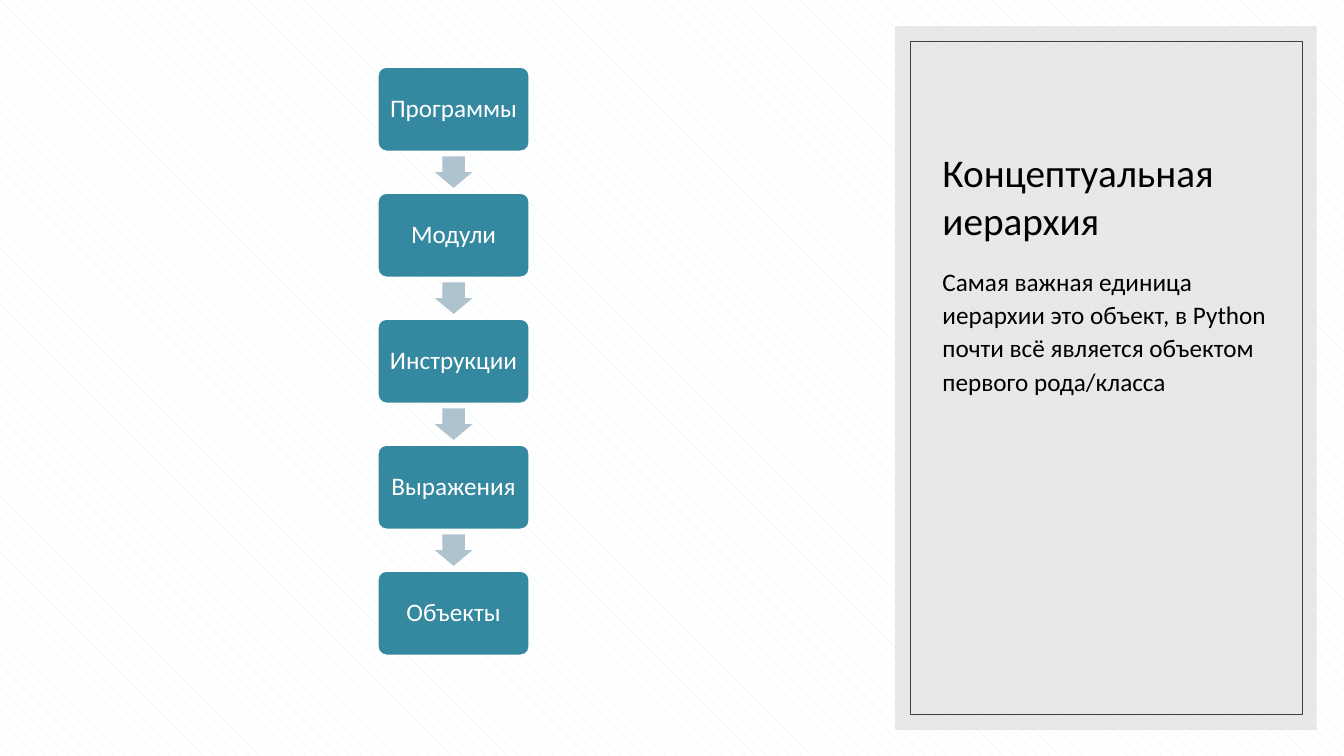
from pptx import Presentation
from pptx import util as u
from pptx.dml.color import RGBColor
from pptx.enum import dml, shapes, text
from pptx.oxml import parse_xml
from pptx.oxml.ns import nsdecls, qn

WHITE = RGBColor(0xFF, 0xFF, 0xFF)
BLACK = RGBColor(0, 0, 0)
PALE_AQUA = RGBColor(0xDE, 0xF4, 0xF7)
PANEL_GRAY = RGBColor(0xD9, 0xD9, 0xD9)
FRAME_GRAY = RGBColor(0x40, 0x40, 0x40)
TEAL = RGBColor(0x34, 0x88, 0xA0)
ARROW_BLUE = RGBColor(0xAE, 0xC3, 0xCD)

FONT = "Calibri"
LEVELS = ["Программы", "Модули", "Инструкции", "Выражения", "Объекты"]
TITLE = "Концептуальная иерархия"
BODY = ("Самая важная единица иерархии это объект, в Python "
        "почти всё является объектом первого рода/класса")

# Hierarchy column, in points
BOX_LEFT, BOX_TOP, BOX_WIDTH, BOX_HEIGHT = 270, 48, 108, 60
GAP = 30
ARROW_LENGTH, ARROW_WIDTH = 22.5, 26.8


def set_format(target, values):
    for name, value in values.items():
        setattr(target, name, value)


def set_text(holder, words, size, color, frame_format, para_format):
    frame = holder.text_frame
    set_format(frame, {"word_wrap": True,
                       "auto_size": text.MSO_AUTO_SIZE.NONE, **frame_format})
    para = frame.paragraphs[0]
    set_format(para, para_format)
    span = para.add_run()
    span.text = words
    set_format(span.font, {"name": FONT, "size": u.Pt(size), "bold": False})
    span.font.color.rgb = color


def add_block(page, kind, place, fill=None, line=None, line_width=1):
    block = page.shapes.add_shape(kind, *map(u.Pt, place))
    block.shadow.inherit = False
    if fill is None:
        block.fill.background()
    else:
        block.fill.solid()
        block.fill.fore_color.rgb = fill
    if line is None:
        block.line.fill.background()
    else:
        block.line.color.rgb = line
        block.line.width = u.Pt(line_width)
    return block


def add_level(page, words, top):
    box = add_block(page, shapes.MSO_SHAPE.ROUNDED_RECTANGLE,
                    (BOX_LEFT, top, BOX_WIDTH, BOX_HEIGHT), TEAL, WHITE)
    box.adjustments[0] = 0.1
    margins = {f"margin_{side}": u.Pt(5)
               for side in ("left", "right", "top", "bottom")}
    set_text(box, words, 18, WHITE,
             {"vertical_anchor": text.MSO_ANCHOR.MIDDLE, **margins},
             {"alignment": text.PP_ALIGN.CENTER, "line_spacing": 0.9})


def add_down_arrow(page, center_y):
    center_x = BOX_LEFT + BOX_WIDTH / 2
    arrow = add_block(page, shapes.MSO_SHAPE.RIGHT_ARROW,
                      (center_x - ARROW_LENGTH / 2, center_y - ARROW_WIDTH / 2,
                       ARROW_LENGTH, ARROW_WIDTH), ARROW_BLUE)
    arrow.rotation = 90
    arrow.adjustments[0] = 0.6
    arrow.adjustments[1] = 0.5


def add_side_panel(page):
    panel = add_block(page, shapes.MSO_SHAPE.RECTANGLE,
                      (639.4, 18.7, 301, 502.6), PANEL_GRAY)
    color = panel.element.find(".//" + qn("a:srgbClr"))
    color.append(parse_xml(f'<a:alpha {nsdecls("a")} val="60000"/>'))
    frame = add_block(page, shapes.MSO_SHAPE.RECTANGLE,
                      (650.2, 29.5, 280, 481), line=FRAME_GRAY, line_width=0.5)
    # The panel lies behind the title and body
    for part in (panel, frame):
        page.shapes.title.element.addprevious(part.element)


def place_holder(holder, place):
    names = ("left", "top", "width", "height")
    set_format(holder, dict(zip(names, map(u.Pt, place))))


def main():
    deck = Presentation()
    deck.slide_width, deck.slide_height = u.Pt(960), u.Pt(540)
    page = deck.slides.add_slide(deck.slide_layouts.get_by_name("Content with Caption"))

    # Background
    fill = page.background.fill
    fill.patterned()
    fill.pattern = dml.MSO_PATTERN.SHINGLE
    fill.fore_color.rgb = PALE_AQUA
    fill.back_color.rgb = WHITE

    # Side panel with title and body
    holders = {item.placeholder_format.idx: item for item in page.placeholders}
    unused = holders[1].element
    unused.getparent().remove(unused)
    add_side_panel(page)
    place_holder(holders[0], (666, 47.5, 249, 129.6))
    set_text(holders[0], TITLE, 28, BLACK,
             {"vertical_anchor": text.MSO_ANCHOR.BOTTOM},
             {"alignment": text.PP_ALIGN.LEFT, "line_spacing": 1.0})
    place_holder(holders[2], (666, 184.3, 249, 283.7))
    set_text(holders[2], BODY, 18, BLACK,
             {"vertical_anchor": text.MSO_ANCHOR.TOP},
             {"alignment": text.PP_ALIGN.LEFT, "line_spacing": 1.1,
              "space_before": u.Pt(8)})

    # Hierarchy, an arrow in each gap
    for index, words in enumerate(LEVELS):
        top = BOX_TOP + index * (BOX_HEIGHT + GAP)
        if index:
            add_down_arrow(page, top - GAP / 2)
        add_level(page, words, top)

    deck.save("out.pptx")


main()
